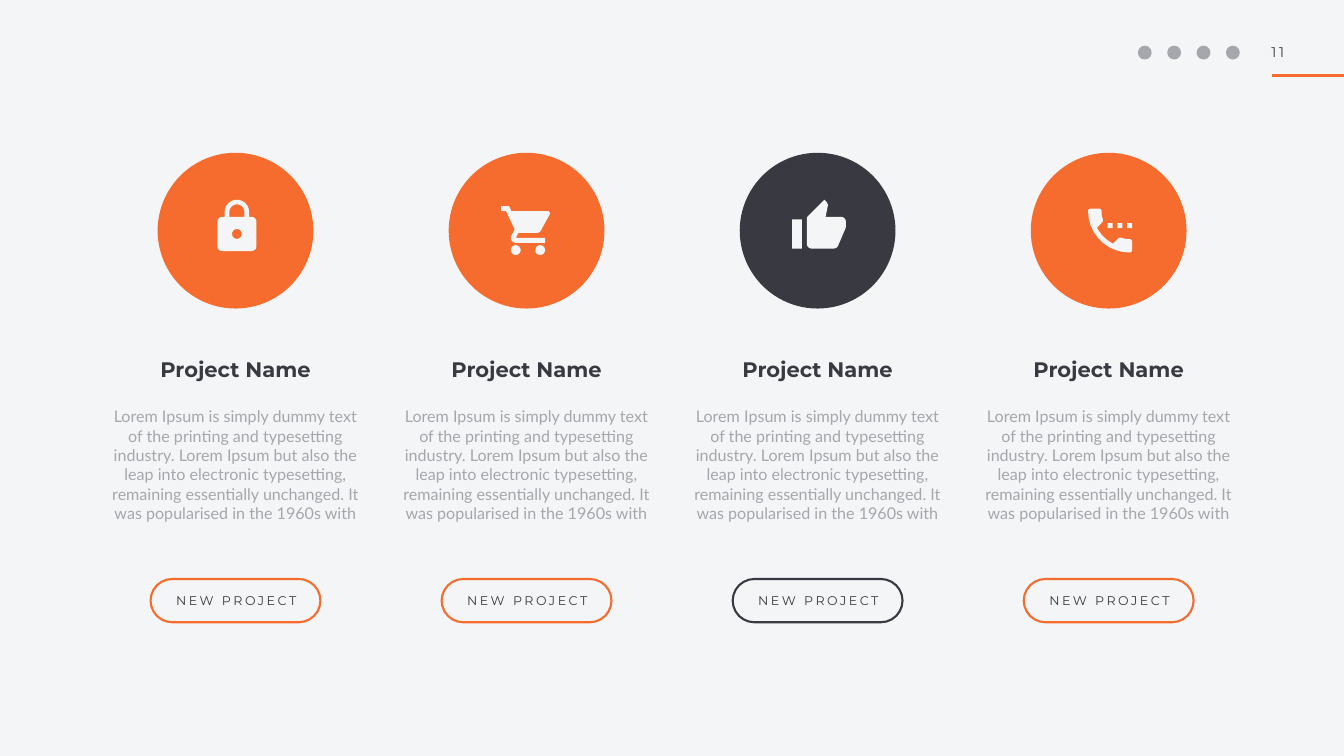
from math import cos, radians, sin

from pptx import Presentation
from pptx import util as u
from pptx.dml.color import RGBColor
from pptx.enum import shapes, text
from pptx.oxml.ns import qn
from lxml import etree

ORANGE = RGBColor(0xF5, 0x6C, 0x2E)
DARK = RGBColor(0x39, 0x39, 0x41)
GREY = RGBColor(0xA6, 0xA7, 0xAC)
PALE = RGBColor(0xF4, 0xF5, 0xF7)
WIDTH, HEIGHT = 67.74, 38.1
BODY = ("Lorem Ipsum is simply dummy text of the printing and typesetting industry. "
        "Lorem Ipsum but also the leap into electronic typesetting, remaining "
        "essentially unchanged. It was popularised in the 1960s with")


class Deck:
    """Style and current slide; all lengths are in centimetres."""
    heading_font, body_font = "Montserrat", "Lato"
    inset = 0.1
    icon_unit = 0.123  # one step of the 24 x 24 icon grid

    def __init__(self, prs):
        self.s = prs.slides.add_slide(prs.slide_layouts[6])
        self.s.background.fill.solid()
        self.s.background.fill.fore_color.rgb = PALE

    def paint(self, sp, fill=None, line=None, width=3):
        sp.shadow.inherit = False
        if fill is None:
            sp.fill.background()
        else:
            sp.fill.solid()
            sp.fill.fore_color.rgb = fill
        if line is None:
            sp.line.fill.background()
        else:
            sp.line.color.rgb = line
            sp.line.width = u.Pt(width)
        return sp

    def shape(self, kind, cx, top, w, h, **style):
        sp = self.s.shapes.add_shape(kind, u.Cm(cx - w / 2), u.Cm(top), u.Cm(w), u.Cm(h))
        return self.paint(sp, **style)

    def circle(self, cx, top, size, fill):
        return self.shape(shapes.MSO_SHAPE.OVAL, cx, top, size, size, fill=fill)

    def pill(self, cx, top, w, h, line):
        sp = self.shape(shapes.MSO_SHAPE.ROUNDED_RECTANGLE, cx, top, w, h, line=line)
        sp.adjustments[0] = 0.5

    def rule(self, x1, x2, y, color, width):
        line = self.s.shapes.add_connector(
            shapes.MSO_CONNECTOR.STRAIGHT, u.Cm(x1), u.Cm(y), u.Cm(x2), u.Cm(y))
        line.line.color.rgb = color
        line.line.width = u.Pt(width)
        etree.SubElement(line._element.spPr, qn("a:effectLst"))

    def label(self, words, cx, top, w, h, size, font=heading_font, color=DARK, bold=False,
              align=text.PP_ALIGN.CENTER, anchor=text.MSO_ANCHOR.MIDDLE,
              spacing=None, tracking=0):
        box = self.s.shapes.add_textbox(u.Cm(cx - w / 2), u.Cm(top), u.Cm(w), u.Cm(h))
        tf = box.text_frame
        tf.word_wrap = True
        tf.vertical_anchor = anchor
        tf.margin_left = tf.margin_right = u.Cm(self.inset)
        tf.margin_top = tf.margin_bottom = u.Cm(self.inset)
        p = tf.paragraphs[0]
        p.alignment = align
        p.line_spacing = spacing
        r = p.add_run()
        r.text = words
        r.font.name, r.font.size, r.font.bold = font, u.Pt(size), bold
        r.font.color.rgb = color
        if tracking:
            r._r.get_or_add_rPr().set("spc", str(int(tracking * 100)))

    def icon(self, outlines, cx, cy, fill):
        """Draw closed outlines given on a 24 x 24 grid centred at cx, cy."""
        points = [[(x * 100, y * 100) for x, y in outline] for outline in outlines]
        builder = self.s.shapes.build_freeform(*points[0][0], scale=u.Cm(self.icon_unit) / 100)
        builder.add_line_segments(points[0][1:], close=True)
        for outline in points[1:]:
            builder.move_to(*outline[0])
            builder.add_line_segments(outline[1:], close=True)
        half = 12 * self.icon_unit
        self.paint(builder.convert_to_shape(u.Cm(cx - half), u.Cm(cy - half)), fill=fill)


def arc(cx, cy, radius, start, end):
    """Points along an arc, clockwise degrees from the right."""
    steps = max(4, int(abs(end - start) / 10))
    angles = [radians(start + (end - start) * i / steps) for i in range(steps + 1)]
    return [(cx + radius * cos(a), cy + radius * sin(a)) for a in angles]


def box(x, y, w, h):
    return [(x, y), (x + w, y), (x + w, y + h), (x, y + h)]


# Icon outlines
LOCK = [
    arc(12, 6, 5, 0, -180) + [(7, 8)] + arc(6, 10, 2, 270, 180) + arc(6, 20, 2, 180, 90)
    + arc(18, 20, 2, 90, 0) + arc(18, 10, 2, 0, -90) + [(17, 8)],
    arc(12, 15, 2, 0, 360),
    arc(12, 6, 3.1, 180, 360) + [(15.1, 8), (8.9, 8)],
]
CART = [
    [(1, 2), (1, 4), (3, 4), (6.6, 11.59), (5.25, 14.04)] + arc(7, 15, 2, 209, 90)
    + [(19, 17), (19, 15), (7.42, 15), (7.2, 14.8), (7.2, 14.63), (8.1, 13)]
    + arc(15.55, 11, 2, 90, 29) + arc(20, 5, 1, 29, -90) + [(5.21, 4), (4.27, 2)],
    arc(7, 20, 2, 0, 360),
    arc(17, 20, 2, 0, 360),
]
THUMB = [
    box(1, 9, 4, 12),
    [(14.17, 1)] + arc(9, 9, 2, 225, 180) + arc(9, 19, 2, 180, 90) + arc(18, 19, 2, 90, 23)
    + [(22.86, 12.73), (23, 12)] + arc(21, 10, 2, 0, -90)
    + [(14.69, 8), (15.64, 3.43), (15.67, 3.11), (15.23, 2.05)],
]
PHONE = [
    arc(4, 4, 1, 270, 180) + arc(20, 4, 17, 180, 90) + arc(20, 20, 1, 90, 0)
    + arc(20, 16.5, 1, 0, -90)
    + [(18.2, 15.36), (16.43, 14.93), (16, 14.9), (15.41, 15.17)]
    + arc(20, 4, 15, 117, 153)
    + [(8.82, 8.58), (9.1, 8), (9.07, 7.57), (8.6, 5.8)] + arc(7.5, 4, 1, 0, -90),
] + [box(x, 9, 2, 2) for x in (11, 15, 19)]

# Accent colour, icon and its vertical centre for each project
PROJECTS = [(ORANGE, LOCK, 11.42), (ORANGE, CART, 11.62),
            (DARK, THUMB, 11.42), (ORANGE, PHONE, 11.62)]
FIRST_CENTRE, PITCH = 11.87, 14.67

prs = Presentation()
prs.slide_width, prs.slide_height = u.Cm(WIDTH), u.Cm(HEIGHT)
deck = Deck(prs)

# Header: social markers, page number and rule
for i in range(4):
    deck.circle(57.7 + 1.48 * i, 2.3, 0.7, GREY)
deck.rule(64.11, WIDTH, 3.81, ORANGE, 4)
deck.label("11", 64.82, 2.11, 1.68, 1.07, 20, align=text.PP_ALIGN.LEFT,
           anchor=text.MSO_ANCHOR.TOP, tracking=4)

# Project columns
for i, (accent, outlines, icon_y) in enumerate(PROJECTS):
    cx = FIRST_CENTRE + PITCH * i
    deck.circle(cx, 7.7, 7.85, accent)
    deck.icon(outlines, cx + 0.07, icon_y, PALE)
    deck.label("Project Name", cx, 17.98, 12.65, 1.52, 30, bold=True, spacing=0.8)
    deck.label(BODY, cx, 20.4, 12.7, 7.19, 23, font=deck.body_font, color=GREY,
               anchor=text.MSO_ANCHOR.TOP)
    deck.pill(cx, 29.18, 8.56, 2.18, accent)
    deck.label("NEW PROJECT", cx + 0.04, 29.79, 6.81, 0.99, 18, tracking=3.6)

prs.save("out.pptx")
